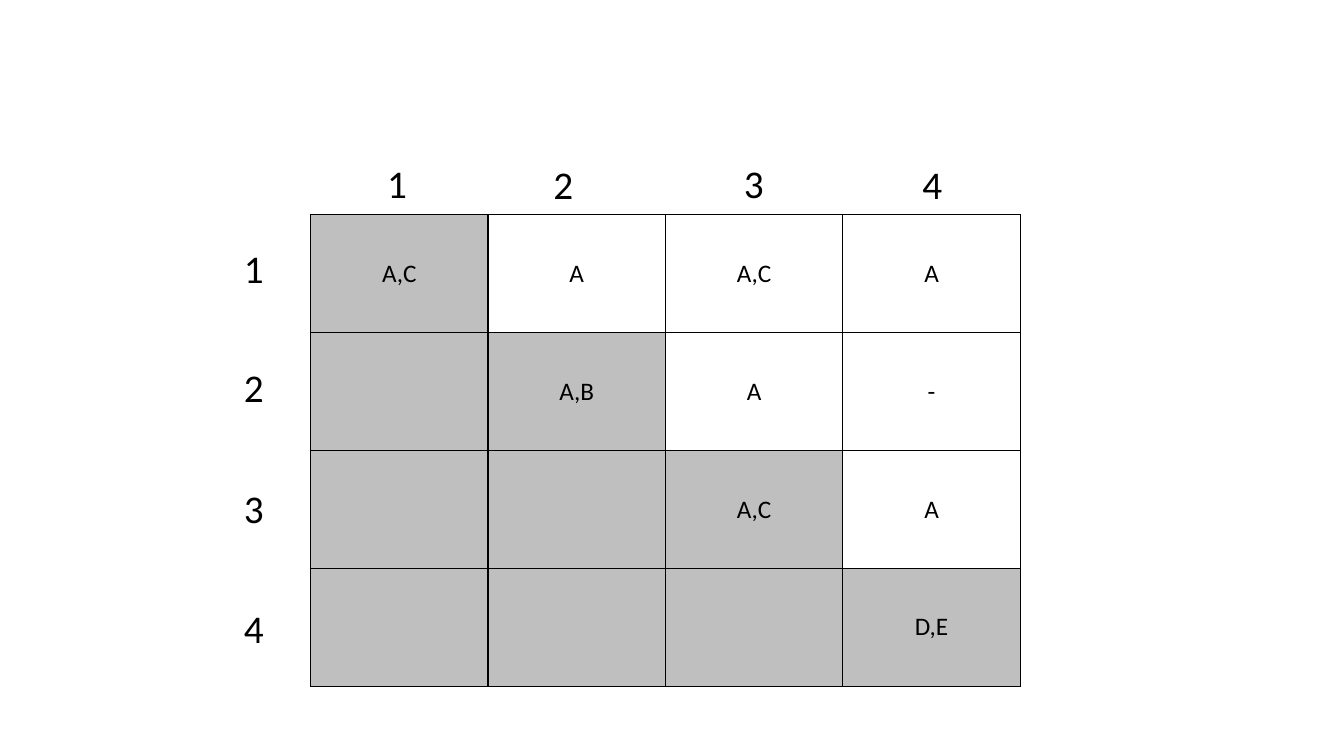
"""Build a slide with an upper-triangular matrix of letter sets and numbered rows and columns."""
from dataclasses import dataclass

from lxml.etree import SubElement
from pptx import Presentation
from pptx.dml.color import RGBColor
from pptx.enum.text import MSO_ANCHOR as Anchor, MSO_AUTO_SIZE as AutoSize, PP_ALIGN as Align
from pptx.oxml.ns import qn
from pptx.slide import Slide
from pptx.table import _Cell as Cell
from pptx.text.text import TextFrame
from pptx.util import Emu, Pt

EMU_PER_PX = 9144


@dataclass(frozen=True)
class Theme:
    font: str = "Calibri"
    ink: str = "000000"
    shade: str = "BFBFBF"
    entry_size: int = 18
    index_size: int = 28
    border_width: int = 1


@dataclass(frozen=True)
class IndexLabel:
    number: int
    left: int
    top: int


THEME = Theme()
MATRIX_LEFT, MATRIX_TOP = 308, 213
CELL_WIDTH, CELL_HEIGHT = 176, 117
LABEL_WIDTH, LABEL_HEIGHT = 71, 57
ENTRIES = (
    ("A,C", "A", "A,C", "A"),
    ("", "A,B", "A", "-"),
    ("", "", "A,C", "A"),
    ("", "", "", "D,E"),
)
ROW_INDICES = [IndexLabel(row + 1, 232, 237 + round(row * 119.33)) for row in range(4)]
COLUMN_INDICES = [
    IndexLabel(1, 374, 153),
    IndexLabel(2, 539, 154),
    IndexLabel(3, 728, 153),
    IndexLabel(4, 905, 154),
]


def px(length: int) -> Emu:
    """Convert slide pixels to EMU."""
    return Emu(length * EMU_PER_PX)


def write(frame: TextFrame, text: str, *, size: int, align: Align = Align.LEFT) -> None:
    """Write one formatted line into a text frame."""
    line = frame.paragraphs[0]
    line.alignment = align
    run = line.add_run()
    run.text = text
    run.font.name = THEME.font
    run.font.size = Pt(size)
    run.font.bold = False
    run.font.color.rgb = RGBColor.from_string(THEME.ink)


def draw_borders(cell: Cell) -> None:
    """Give a cell a solid line on all four sides."""
    properties = cell._tc.get_or_add_tcPr()
    for position, side in enumerate(("lnL", "lnR", "lnT", "lnB")):
        border = SubElement(properties, qn(f"a:{side}"), w=str(Pt(THEME.border_width)))
        fill = SubElement(border, qn("a:solidFill"))
        SubElement(fill, qn("a:srgbClr"), val=THEME.ink)
        properties.insert(position, border)


def draw_matrix(slide: Slide) -> None:
    """Draw the matrix, shaded on and below its diagonal."""
    count = len(ENTRIES)
    matrix = slide.shapes.add_table(
        count, count, px(MATRIX_LEFT), px(MATRIX_TOP),
        px(count * CELL_WIDTH), px(count * CELL_HEIGHT),
    ).table
    matrix.first_row = matrix.horz_banding = False
    for row, entries in enumerate(ENTRIES):
        for column, entry in enumerate(entries):
            cell = matrix.cell(row, column)
            cell.vertical_anchor = Anchor.MIDDLE
            if column <= row:
                cell.fill.solid()
                cell.fill.fore_color.rgb = RGBColor.from_string(THEME.shade)
            else:
                cell.fill.background()
            draw_borders(cell)
            if entry:
                write(cell.text_frame, entry, size=THEME.entry_size, align=Align.CENTER)


def draw_index(slide: Slide, index: IndexLabel) -> None:
    """Draw the number of one row or column."""
    frame = slide.shapes.add_textbox(
        px(index.left), px(index.top), px(LABEL_WIDTH), px(LABEL_HEIGHT)
    ).text_frame
    frame.word_wrap = True
    frame.auto_size = AutoSize.SHAPE_TO_FIT_TEXT
    write(frame, str(index.number), size=THEME.index_size)


def main() -> None:
    """Build and save the slide."""
    deck = Presentation()
    deck.slide_width, deck.slide_height = px(1333), px(750)
    slide = deck.slides.add_slide(deck.slide_layouts[6])
    draw_matrix(slide)
    for index in ROW_INDICES + COLUMN_INDICES:
        draw_index(slide, index)
    deck.save("out.pptx")


if __name__ == "__main__":
    main()
